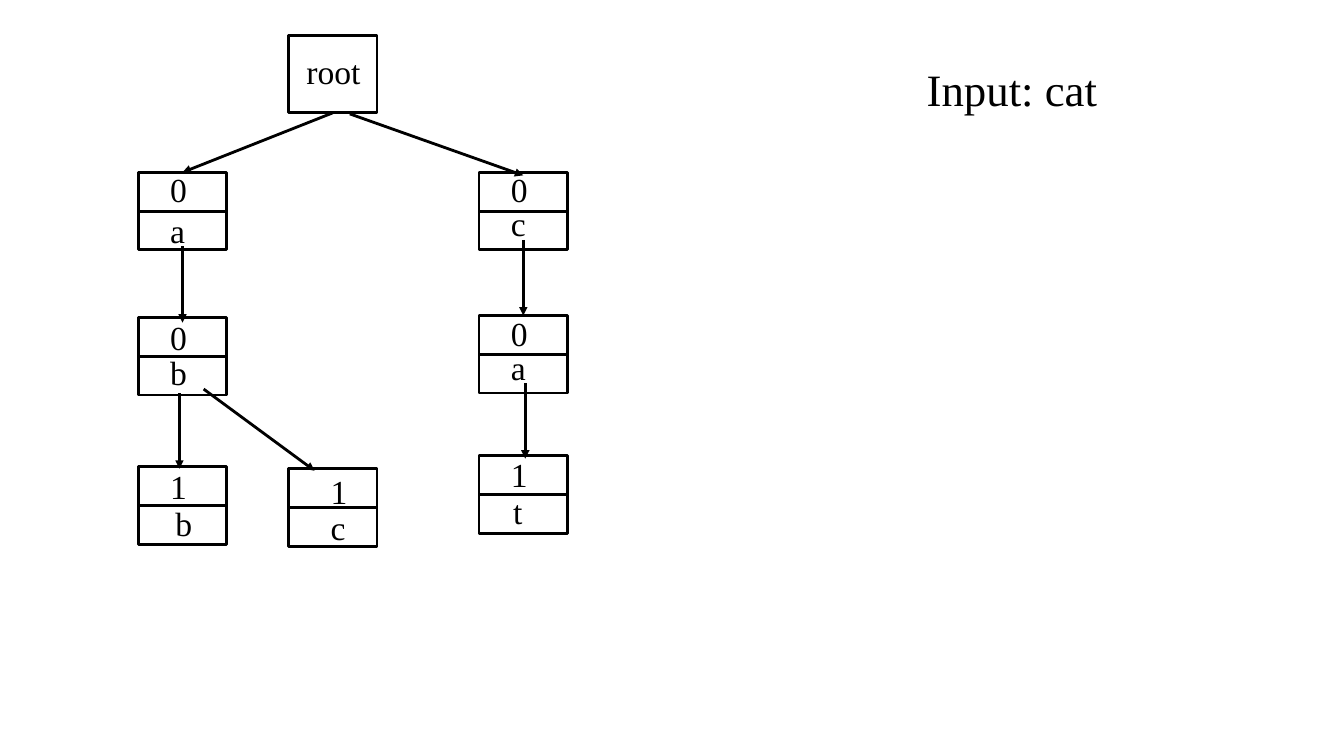
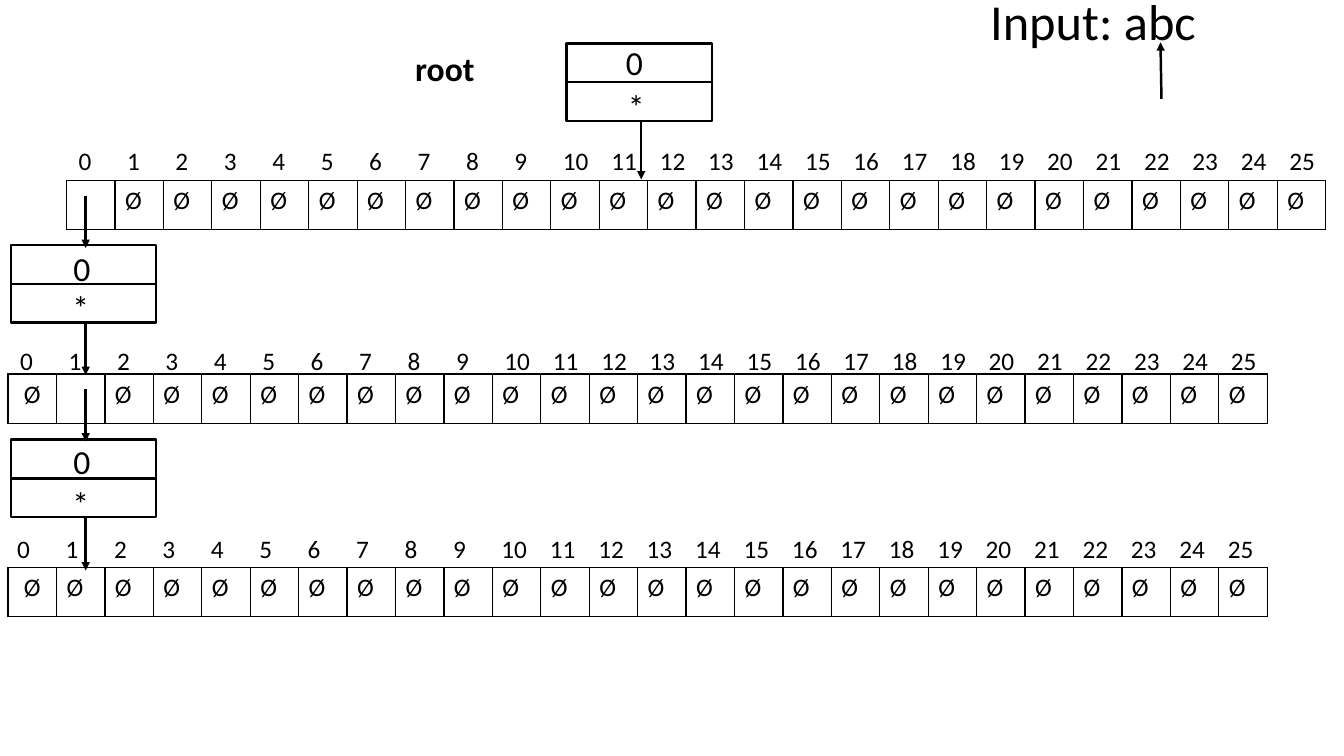
from pptx import Presentation
from pptx import util as u
from pptx.dml.color import RGBColor
from pptx.enum import shapes as sh, text as tx
from pptx.oxml.ns import qn
from lxml import etree

WIDE, HIGH = 13.33, 7.5
INK = "000000"
SERIF, SANS = "Times New Roman", "Calibri"
NODE_H = 0.77
COUNT, ROW_W = 26, 12.49
PLAIN = "{2D5ABB26-0587-4C30-8999-92F81FD0307C}"

# Each node: left, top, (flag, dx, dy), (letter, dx, dy)
TRIE = [
    (1.37, 1.71, ("0", 0.22, -0.08), ("a", 0.22, 0.32)),
    (1.37, 3.15, ("0", 0.22, -0.06), ("b", 0.22, 0.29)),
    (1.37, 4.63, ("1", 0.22, -0.06), ("b", 0.27, 0.31)),
    (2.86, 4.65, ("1", 0.32, -0.03), ("c", 0.32, 0.33)),
    (4.75, 1.71, ("0", 0.22, -0.08), ("c", 0.22, 0.25)),
    (4.75, 3.13, ("0", 0.22, -0.07), ("a", 0.22, 0.26)),
    (4.75, 4.52, ("1", 0.22, -0.07), ("t", 0.24, 0.3)),
]
EDGES = [
    (3.3, 1.12, 1.81, 1.71), (3.47, 1.13, 5.19, 1.74),
    (1.81, 2.44, 1.81, 3.2), (5.19, 2.38, 5.19, 3.13),
    (5.21, 3.8, 5.21, 4.55), (1.78, 3.9, 1.78, 4.65),
    (2.02, 3.86, 3.12, 4.67),
]

CHAIN = [
    (5.62, 0.43, ("0", 0.49, -0.06), ("*", 0.51, 0.37)),
    (0.11, 2.43, ("0", 0.52, -0.02), ("*", 0.51, 0.37)),
    (0.11, 4.36, ("0", 0.52, -0.03), ("*", 0.51, 0.38)),
]
# Each array: index left and top, slot left and top, used slot, first centred
ARRAYS = [
    (0.68, 1.4, 0.66, 1.79, 0, False),
    (0.1, 3.39, 0.08, 3.71, 1, True),
    (0.07, 5.25, 0.08, 5.63, None, True),
]
LINKS = [
    (6.36, 1.2, 6.36, 1.78), (11.52, 0.98, 11.51, 0.42),
    (0.85, 1.94, 0.85, 2.46), (0.85, 3.2, 0.85, 3.72),
    (0.85, 3.86, 0.85, 4.38), (0.85, 5.13, 0.85, 5.66),
]


def inches(*nums):
    return [u.Inches(n) for n in nums]


def rgb(code):
    return RGBColor.from_string(code)


def style(par, font, size, bold=False):
    for run in par.runs:
        run.font.name, run.font.size = font, u.Pt(size)
        run.font.bold, run.font.color.rgb = bold, rgb(INK)


def ink(line, width):
    line.color.rgb, line.width = rgb(INK), u.Pt(width)


def box(shapes, area, width):
    rect = shapes.add_shape(sh.MSO_SHAPE.RECTANGLE, *inches(*area))
    rect.shadow.inherit = False
    rect.fill.background()
    ink(rect.line, width)


def rule(shapes, ends, width, arrow=False):
    line = shapes.add_connector(sh.MSO_CONNECTOR.STRAIGHT, *inches(*ends))
    ink(line.line, width)
    props = line._element.spPr
    if arrow:
        etree.SubElement(props.find(qn("a:ln")), qn("a:tailEnd"), type="triangle")
    etree.SubElement(props, qn("a:effectLst"))


def label(shapes, words, area, font, size=24, bold=False):
    frame = shapes.add_textbox(*inches(*area)).text_frame
    frame.word_wrap = True
    frame.text = words
    style(frame.paragraphs[0], font, size, bold)


def node(slide, left, top, parts, wide, font, width):
    """Draw a box split in two, with one label in each half."""
    group = slide.shapes.add_group_shape().shapes
    box(group, (left, top, wide, NODE_H), width)
    mid = top + NODE_H / 2
    rule(group, (left, mid, left + wide, mid), width)
    for words, dx, dy in parts:
        label(group, words, (left + dx, top + dy, 0.46, 0.5), font)


def edge(cell):
    """Draw a thin line on all four sides of a cell."""
    props = cell._tc.get_or_add_tcPr()
    for n, side in enumerate(("lnL", "lnR", "lnT", "lnB")):
        line = etree.Element(qn("a:" + side), w=str(u.Pt(1)))
        fill = etree.SubElement(line, qn("a:solidFill"))
        etree.SubElement(fill, qn("a:srgbClr"), val=INK)
        props.insert(n, line)


def strip(slide, left, top, high, words, lined=False):
    """Draw a table of one row."""
    area = inches(left, top, ROW_W, high)
    table = slide.shapes.add_table(1, COUNT, *area).table
    table.first_row = table.horz_banding = False
    table._tbl.tblPr.find(qn("a:tableStyleId")).text = PLAIN
    for n, word in enumerate(words):
        table.columns[n].width = u.Inches(ROW_W / COUNT)
        cell = table.cell(0, n)
        cell.text = word
        cell.fill.background()
        style(cell.text_frame.paragraphs[0], SANS, 18)
        if lined:
            edge(cell)
    return table


def begin(deck, words, area, font, size):
    """Add a slide with its title set at the top right."""
    slide = deck.slides.add_slide(deck.slide_layouts[5])
    title = slide.shapes.title
    title.left, title.top, title.width, title.height = inches(*area)
    frame = title.text_frame
    frame.text = words
    frame.word_wrap, frame.auto_size = True, tx.MSO_AUTO_SIZE.NONE
    frame.vertical_anchor = tx.MSO_ANCHOR.TOP
    par = frame.paragraphs[0]
    par.alignment = tx.PP_ALIGN.LEFT
    style(par, font, size)
    return slide


def tree(deck):
    slide = begin(deck, "Input: cat", (9.09, 0.56, 3.48, 0.94), SERIF, 32)
    box(slide.shapes, (2.86, 0.35, 0.88, NODE_H), 2)
    label(slide.shapes, "root", (2.94, 0.46, 0.78, 0.5), SERIF)
    for left, top, *parts in TRIE:
        node(slide, left, top, parts, 0.88, SERIF, 2)
    for ends in EDGES:
        rule(slide.shapes, ends, 2, arrow=True)


def arrays(deck):
    slide = begin(deck, "Input: abc", (9.72, -0.15, 3.21, 0.71), SANS, 36)
    label(slide.shapes, "root", (4.02, 0.43, 0.94, 0.5), SANS, bold=True)
    for left, top, *parts in CHAIN:
        node(slide, left, top, parts, 1.44, SANS, 1.75)
    for left, top, x, y, used, centred in ARRAYS:
        strip(slide, left, top, 0.36, [str(n) for n in range(COUNT)])
        slots = ["" if n == used else "Ø" for n in range(COUNT)]
        table = strip(slide, x, y, 0.49, slots, lined=True)
        if centred:
            first = table.cell(0, 0).text_frame.paragraphs[0]
            first.alignment = tx.PP_ALIGN.CENTER
    for ends in LINKS:
        rule(slide.shapes, ends, 1.75, arrow=True)


def main():
    deck = Presentation()
    deck.slide_width, deck.slide_height = inches(WIDE, HIGH)
    tree(deck)
    arrays(deck)
    deck.save("out.pptx")


if __name__ == "__main__":
    main()
